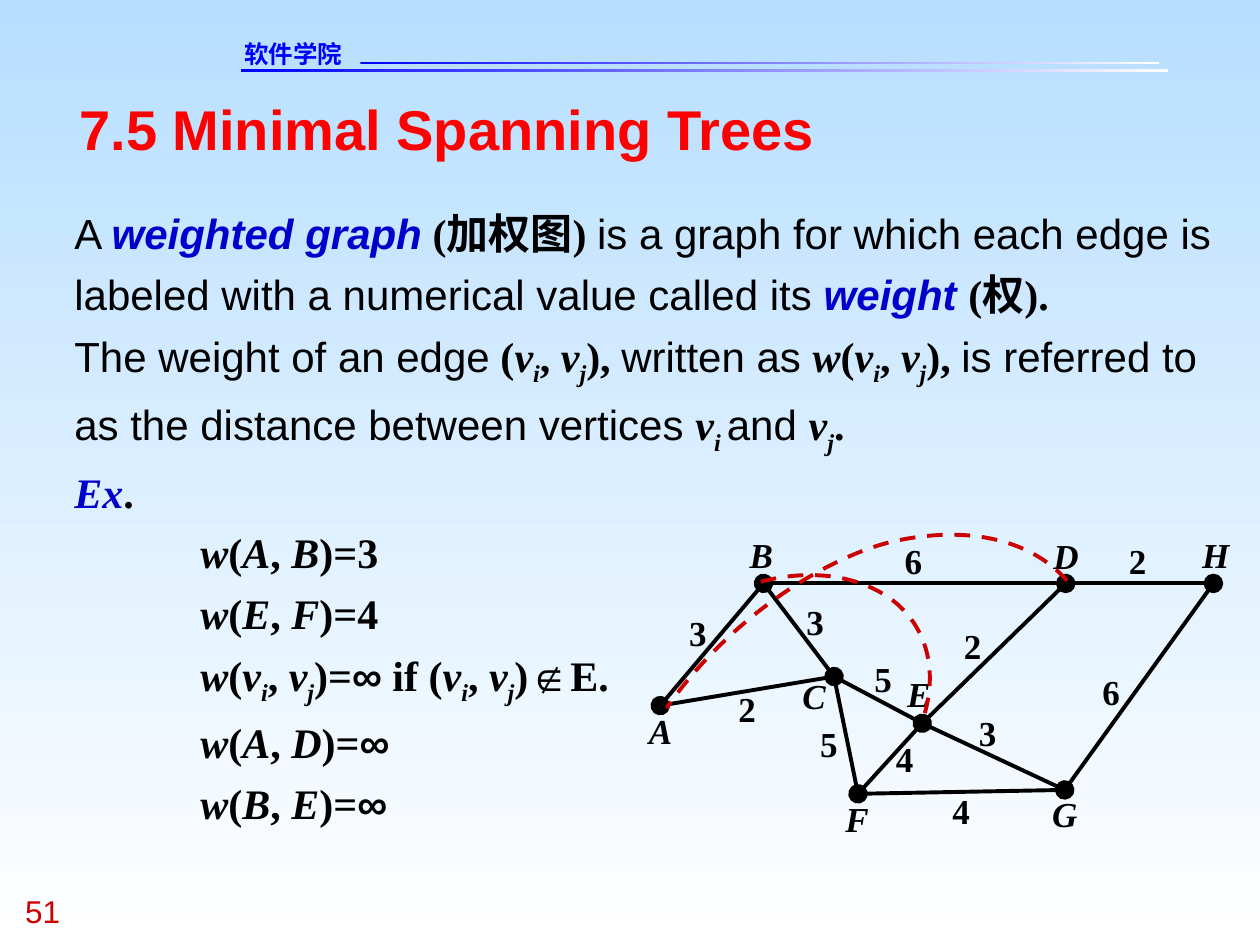
from dataclasses import dataclass

from lxml.etree import SubElement
from pptx import Presentation
from pptx.dml.color import RGBColor
from pptx.enum.dml import MSO_LINE_DASH_STYLE as DASH
from pptx.enum.shapes import MSO_CONNECTOR as CONN, MSO_SHAPE as SHAPE
from pptx.oxml.ns import qn
from pptx.util import Pt


@dataclass(frozen=True)
class Theme:
    """Colours, fonts and type sizes of the slide."""
    sky: str = "B7DEFF"
    white: str = "FFFFFF"
    blue: str = "0000FF"
    term: str = "0000CC"
    title: str = "FF0000"
    accent: str = "CC0000"
    ink: str = "000000"
    sans: str = "Arial"
    serif: str = "Times New Roman"
    header_font: str = "DejaVu Sans"
    header_size: float = 14
    number_size: float = 18
    label_size: float = 20
    body_size: float = 24
    title_size: float = 32
    line: float = 2.25


T = Theme()
SANS = dict(font=T.sans, bold=False)
TERM = dict(font=T.sans, italic=True, color=T.term)
SYMBOL = dict(font=T.sans)
VAR = dict(italic=True)
SUB = dict(italic=True, sub=True)

NODES = {
    "A": ((7.3, 103.2), (0.8, 105.4)), "B": ((66.3, 33.4), (58.4, 4.6)),
    "C": ((106.6, 86.6), (88.6, 85.2)), "D": ((239, 33.4), (231.9, 5.3)),
    "E": ((157, 113.3), (148.4, 84.5)), "F": ((120.3, 153.6), (113.1, 155.8)),
    "G": ((238.4, 151.4), (231.2, 152.9)), "H": ((323.4, 33.4), (316.9, 4.6)),
}
EDGES = [
    ("AB", "3", (23.8, 49.2)), ("AC", "2", (51.9, 93.1)),
    ("BC", "3", (90.8, 43.4)), ("BD", "6", (147, 8.2)),
    ("DH", "2", (275.1, 8.2)), ("DE", "2", (180.8, 57.1)),
    ("CE", "5", (129.7, 75.8)), ("CF", "5", (98.7, 112.6)),
    ("EF", "4", (141.9, 121.2)), ("EG", "3", (189.4, 106.8)),
    ("FG", "4", (174.3, 151.4)), ("HG", "6", (260, 83)),
]
CURVES = [
    [(239.8, 31.9), (218, 7), (180, 0), (138, 10), (96, 21), (43, 58), (11, 104.6)],
    [(158.5, 107.5), (166.4, 78.7), (157, 56.4), (140.5, 43.4),
     (119.6, 27.6), (90.8, 25.4), (64.2, 32.6)],
]


def rgb(value):
    """Turn a hex string into a colour."""
    return RGBColor.from_string(value)


def add_run(p, text, size, font, color=T.ink, bold=True, italic=False, sub=False):
    """Add one formatted run to a paragraph."""
    r = p.add_run()
    r.text = text
    f = r.font
    f.size, f.name, f.bold, f.italic = Pt(size), font, bold, italic
    f.color.rgb = rgb(color)
    if sub:
        r._r.get_or_add_rPr().set("baseline", "-25000")


def add_text(slide, box, paragraphs, wrap=True, spacing=None, tab=None, **fmt):
    """Place paragraphs of (text, overrides) runs in a text box."""
    tf = slide.shapes.add_textbox(*map(Pt, box)).text_frame
    tf.word_wrap = wrap
    tf.margin_left = tf.margin_top = tf.margin_right = tf.margin_bottom = 0
    for n, runs in enumerate(paragraphs):
        p = tf.add_paragraph() if n else tf.paragraphs[0]
        if spacing:
            p.line_spacing = spacing
        if tab:
            tabs = SubElement(p._p.get_or_add_pPr(), qn("a:tabLst"))
            SubElement(tabs, qn("a:tab"), pos=str(Pt(tab)), algn="l")
        for text, extra in runs:
            add_run(p, text, **{**fmt, **extra})


def set_gradient(fill, start, end, angle):
    """Fill with a two-colour linear gradient."""
    fill.gradient()
    fill.gradient_angle = angle
    for stop, color in zip(fill.gradient_stops, (start, end)):
        stop.color.rgb = rgb(color)


def weight(*pair):
    """Return the runs of w(a, b), with a subscript after each v."""
    def vertex(name):
        return [(name[0], VAR)] + [(s, SUB) for s in name[1:]]
    prefix = [("w", VAR)] if pair[0] == "w" else []
    a, b = pair[-2:]
    return prefix + [("(", {})] + vertex(a) + [(", ", {})] + vertex(b) + [(")", {})]


def add_header(slide, x, y):
    """Place the school name and its two fading rules."""
    for dx, dy, width in ((0, 17.2, 530), (68.4, 12.8, 456.5)):
        sp = slide.shapes.add_shape(SHAPE.RECTANGLE, Pt(x + dx), Pt(y + dy), Pt(width), Pt(1.7))
        sp.shadow.inherit = False
        sp.line.fill.background()
        set_gradient(sp.fill, T.blue, T.white, 0)
    add_text(slide, (x + 2, y, 104.4, 16.6), [[("软件学院", {})]],
             size=T.header_size, font=T.header_font, color=T.blue)


def add_body(slide, box):
    """Place the definition and the worked example."""
    indent = ("\t", {})
    vi_vj = weight("vi", "vj")
    infinity = ("∞", SYMBOL)
    paragraphs = [
        [("A ", SANS), ("weighted graph", TERM), (" (加权图) ", {}),
         ("is a graph for which each edge is labeled with a numerical value called its", SANS),
         (" weight ", TERM), ("(权).", {})],
        [("The weight of an edge", SANS), (" ", {}), *vi_vj, (", ", {}),
         ("written as ", SANS), *weight("w", "vi", "vj"), (", ", {}),
         ("is referred to as the distance between vertices ", SANS),
         ("v", VAR), ("i ", SUB), ("and ", SANS), ("v", VAR), ("j", SUB), (".", {})],
        [("Ex", dict(italic=True, color=T.term)), (".", {})],
        [indent, *weight("w", "A", "B"), ("=3", {})],
        [indent, *weight("w", "E", "F"), ("=4", {})],
        [indent, *weight("w", "vi", "vj"), ("=", {}), infinity, (" if ", {}), *vi_vj,
         ("∉", SYMBOL), ("E.", {})],
        [indent, *weight("w", "A", "D"), ("=", {}), infinity],
        [indent, *weight("w", "B", "E"), ("=", {}), infinity],
    ]
    add_text(slide, box, paragraphs, spacing=1.2, tab=72, size=T.body_size, font=T.serif)


def add_edge(slide, start, end, dots):
    """Draw an edge, with a dot at each end that asks for one."""
    c = slide.shapes.add_connector(CONN.STRAIGHT, *map(Pt, (*start, *end)))
    c.line.width = Pt(T.line)
    c.line.color.rgb = rgb(T.ink)
    SubElement(c._element.spPr, qn("a:effectLst"))
    for tag, dot in zip(("a:headEnd", "a:tailEnd"), dots):
        if dot:
            SubElement(c.line._get_or_add_ln(), qn(tag), type="oval", w="lg", len="lg")


def add_curve(slide, points):
    """Draw a dashed open curve through cubic Bezier points."""
    fb = slide.shapes.build_freeform(*map(Pt, points[0]))
    fb.add_line_segments([tuple(map(Pt, pt)) for pt in points[1:]], close=False)
    sp = fb.convert_to_shape()
    sp.shadow.inherit = False
    sp.fill.background()
    sp.line.color.rgb = rgb(T.accent)
    sp.line.width = Pt(T.line)
    sp.line.dash_style = DASH.DASH
    outline = next(sp._element.iter(qn("a:path")))
    segments = outline.findall(qn("a:lnTo"))
    for n in range(0, len(segments), 3):
        bezier = SubElement(outline, qn("a:cubicBezTo"))
        for segment in segments[n:n + 3]:
            bezier.append(segment[0])
            outline.remove(segment)


def add_graph(slide, x, y):
    """Draw the weighted graph and the two missing edges."""
    def at(pt):
        return x + pt[0], y + pt[1]

    def label(text, pt, italic):
        add_text(slide, (*at(pt), 16, 23.8), [[(text, {})]], wrap=False,
                 size=T.label_size, font=T.serif, italic=italic)

    dotted = set()
    for ends, value, pt in EDGES:
        add_edge(slide, *(at(NODES[n][0]) for n in ends), [n not in dotted for n in ends])
        dotted.update(ends)
        label(value, pt, False)
    for name, (_, pt) in NODES.items():
        label(name, pt, True)
    for points in CURVES:
        add_curve(slide, [at(pt) for pt in points])


def main():
    """Build the slide and save it."""
    prs = Presentation()
    prs.slide_width, prs.slide_height = Pt(720), Pt(540)
    slide = prs.slides.add_slide(prs.slide_layouts[6])
    set_gradient(slide.background.fill, T.sky, T.white, 270)
    add_header(slide, 137.5, 22.4)
    add_text(slide, (45.4, 54, 630, 38), [[("7.5 Minimal Spanning Trees", {})]],
             size=T.title_size, font=T.sans, color=T.title)
    add_body(slide, (42.5, 113, 656.6, 360))
    add_graph(slide, 370, 300)
    add_text(slide, (14.4, 509.8, 54, 21.6), [[("51", {})]],
             size=T.number_size, font=T.sans, color=T.accent, bold=False)
    prs.save("out.pptx")


if __name__ == "__main__":
    main()
